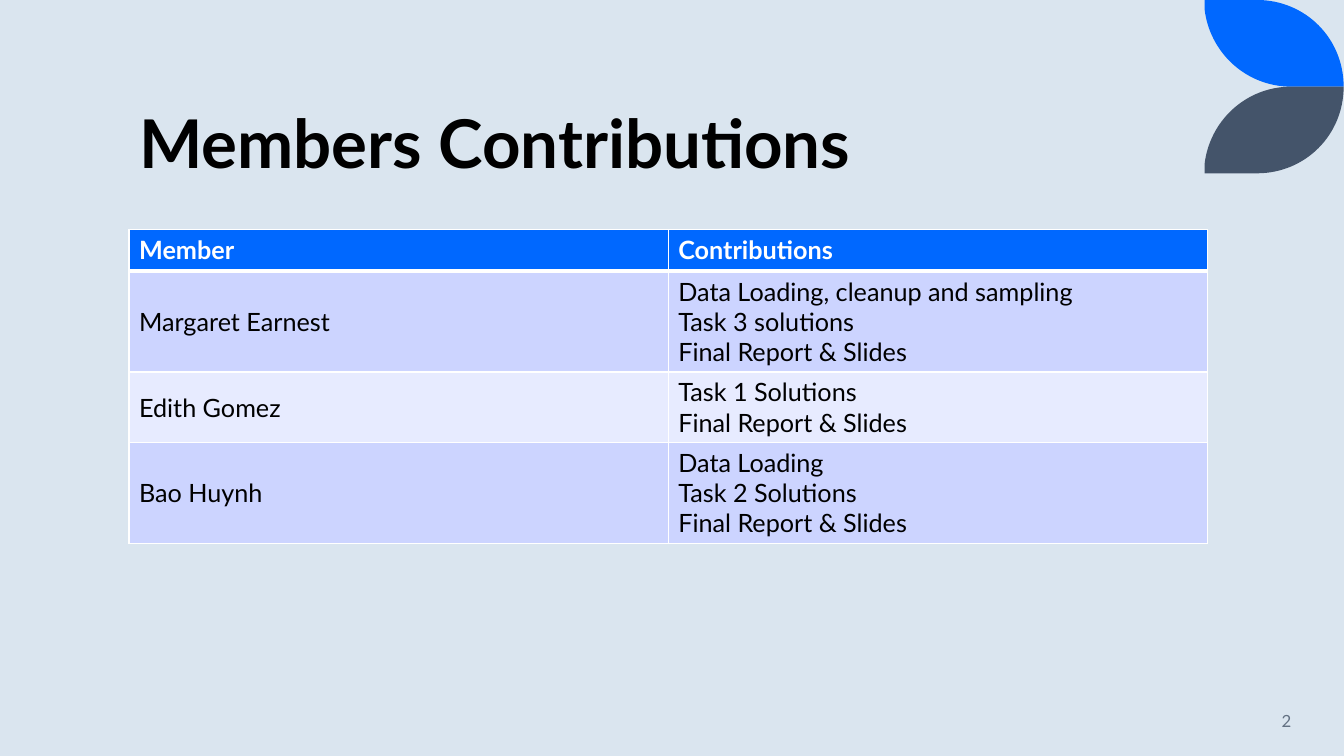
from lxml.etree import SubElement
from pptx import Presentation
from pptx.dml.color import RGBColor
from pptx.enum.text import MSO_ANCHOR, PP_ALIGN
from pptx.oxml.ns import qn
from pptx.util import Inches, Pt

COLORS = {
    "background": "DAE5EF", "blue": "0068FF", "slate": "44546A", "black": "000000",
    "white": "FFFFFF", "band": "CCD4FF", "light_band": "E7EBFF", "number": "637183",
}
CONTRIBUTIONS = [
    ("Member", "Contributions"),
    ("Margaret Earnest", "Data Loading, cleanup and sampling\nTask 3 solutions\nFinal Report & Slides"),
    ("Edith Gomez", "Task 1 Solutions\nFinal Report & Slides"),
    ("Bao Huynh", "Data Loading\nTask 2 Solutions\nFinal Report & Slides"),
]
LEAF_HEIGHT = 0.86
LEAF_OUTLINE = [
    (11.95, 0), (12.47, 0), (12.95, 0), (13.33, 0.38), (13.33, 0.86),
    (12.81, 0.86), (12.36, 0.86), (12, 0.52), (11.95, 0.09),
]
CURVE_STARTS = (1, 5)


def color(name):
    return RGBColor.from_string(COLORS[name])


def write(frame, text, size=18, fill="black", bold=False, align=PP_ALIGN.LEFT, spacing=None):
    frame.text = text
    for paragraph in frame.paragraphs:
        paragraph.alignment = align
        paragraph.line_spacing = spacing
        for run in paragraph.runs:
            run.font.name = "Lato"
            run.font.size = Pt(size)
            run.font.bold = bold
            run.font.color.rgb = color(fill)


class ContributionSlide:
    """Draws the styled elements of one slide."""

    def __init__(self, deck):
        self.slide = deck.slides.add_slide(deck.slide_layouts[5])
        background = self.slide.background.fill
        background.solid()
        background.fore_color.rgb = color("background")

    def leaf(self, fill, flipped=False):
        points = [
            (Inches(x), Inches(2 * LEAF_HEIGHT - y if flipped else y)) for x, y in LEAF_OUTLINE
        ]
        builder = self.slide.shapes.build_freeform(*points[0], scale=1.0)
        builder.add_line_segments(points[1:], close=True)
        petal = builder.convert_to_shape()
        petal.shadow.inherit = False
        petal.fill.solid()
        petal.fill.fore_color.rgb = color(fill)
        petal.line.fill.background()
        segments = list(petal._element.iter(qn("a:lnTo")))
        for start in CURVE_STARTS:
            first, *others = segments[start:start + 3]
            first.tag = qn("a:cubicBezTo")
            for segment in others:
                first.append(segment[0])
                segment.getparent().remove(segment)

    def title(self, text):
        heading = self.slide.shapes.title
        heading.left, heading.top = Inches(1.28), Inches(0.42)
        heading.width, heading.height = Inches(10.69), Inches(1.45)
        heading.text_frame.vertical_anchor = MSO_ANCHOR.BOTTOM
        write(heading.text_frame, text, size=48, bold=True, spacing=0.9)

    def borders(self, cell, top, bottom):
        properties = cell._tc.get_or_add_tcPr()
        for side, width in (("L", 1), ("R", 1), ("T", top), ("B", bottom)):
            line = SubElement(properties, qn(f"a:ln{side}"), w=str(Pt(width)))
            solid = SubElement(line, qn("a:solidFill"))
            SubElement(solid, qn("a:srgbClr"), val=COLORS["white"])

    def table(self, rows):
        grid = self.slide.shapes.add_table(
            len(rows), 2, Inches(1.28), Inches(2.28), Inches(10.7), Inches(3.11)
        ).table
        for index, texts in enumerate(rows):
            grid.rows[index].height = Inches(0.41)
            header = index == 0
            fill = "blue" if header else "band" if index % 2 else "light_band"
            for column, text in enumerate(texts):
                cell = grid.cell(index, column)
                self.borders(cell, 3 if index == 1 else 1, 3 if header else 1)
                cell.fill.solid()
                cell.fill.fore_color.rgb = color(fill)
                is_member = column == 0 and not header
                cell.vertical_anchor = MSO_ANCHOR.MIDDLE if is_member else MSO_ANCHOR.TOP
                write(cell.text_frame, text, fill="white" if header else "black", bold=header)

    def page_number(self, text):
        number = self.slide.shapes.add_textbox(Inches(11.1), Inches(6.95), Inches(1.81), Inches(0.4))
        number.text_frame.word_wrap = True
        number.text_frame.vertical_anchor = MSO_ANCHOR.MIDDLE
        write(number.text_frame, text, size=12, fill="number", align=PP_ALIGN.RIGHT)


def main():
    deck = Presentation()
    deck.slide_width, deck.slide_height = Inches(40 / 3), Inches(7.5)
    page = ContributionSlide(deck)
    page.leaf("blue")
    page.leaf("slate", flipped=True)
    page.title("Members Contributions")
    page.table(CONTRIBUTIONS)
    page.page_number("2")
    deck.save("out.pptx")


if __name__ == "__main__":
    main()
